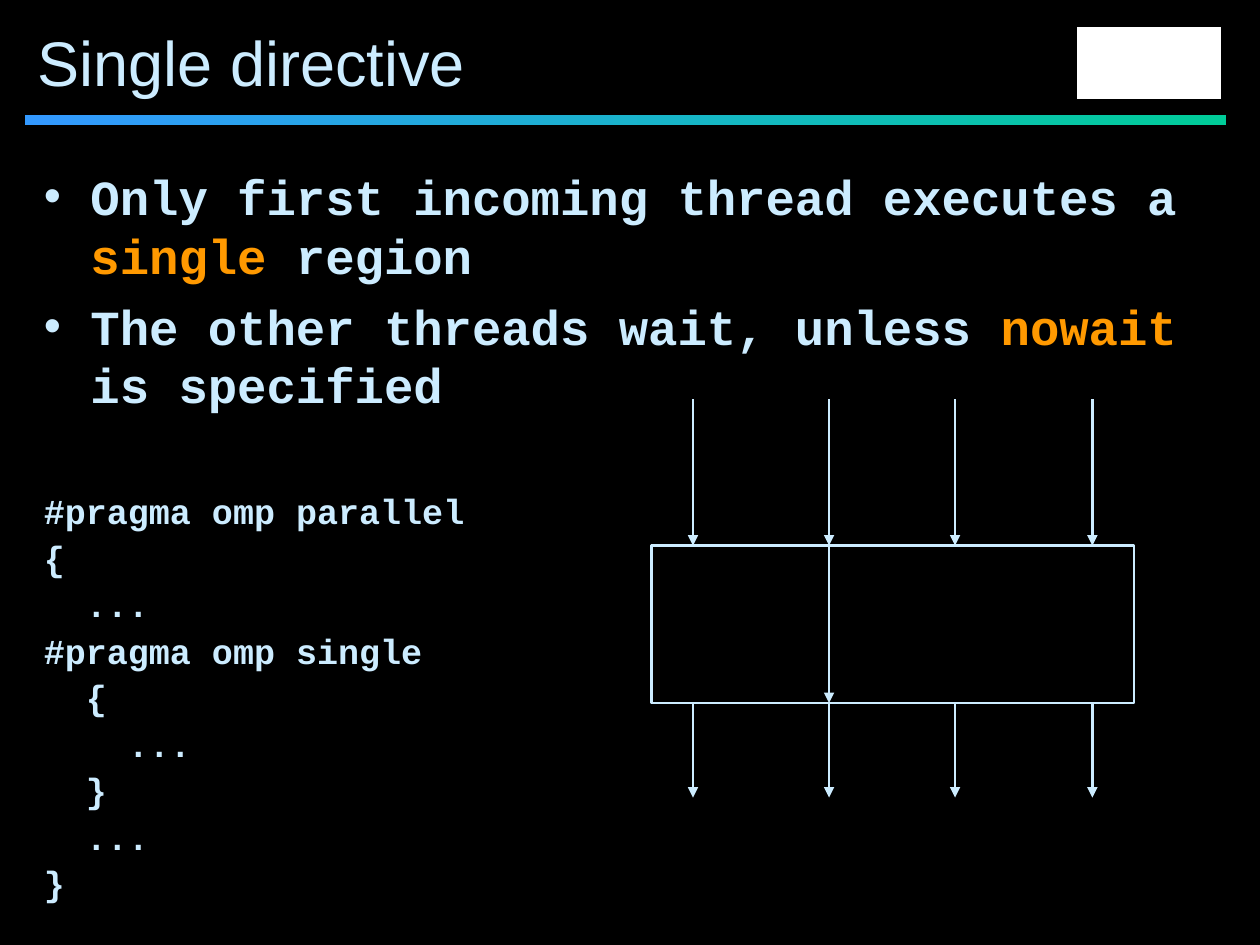
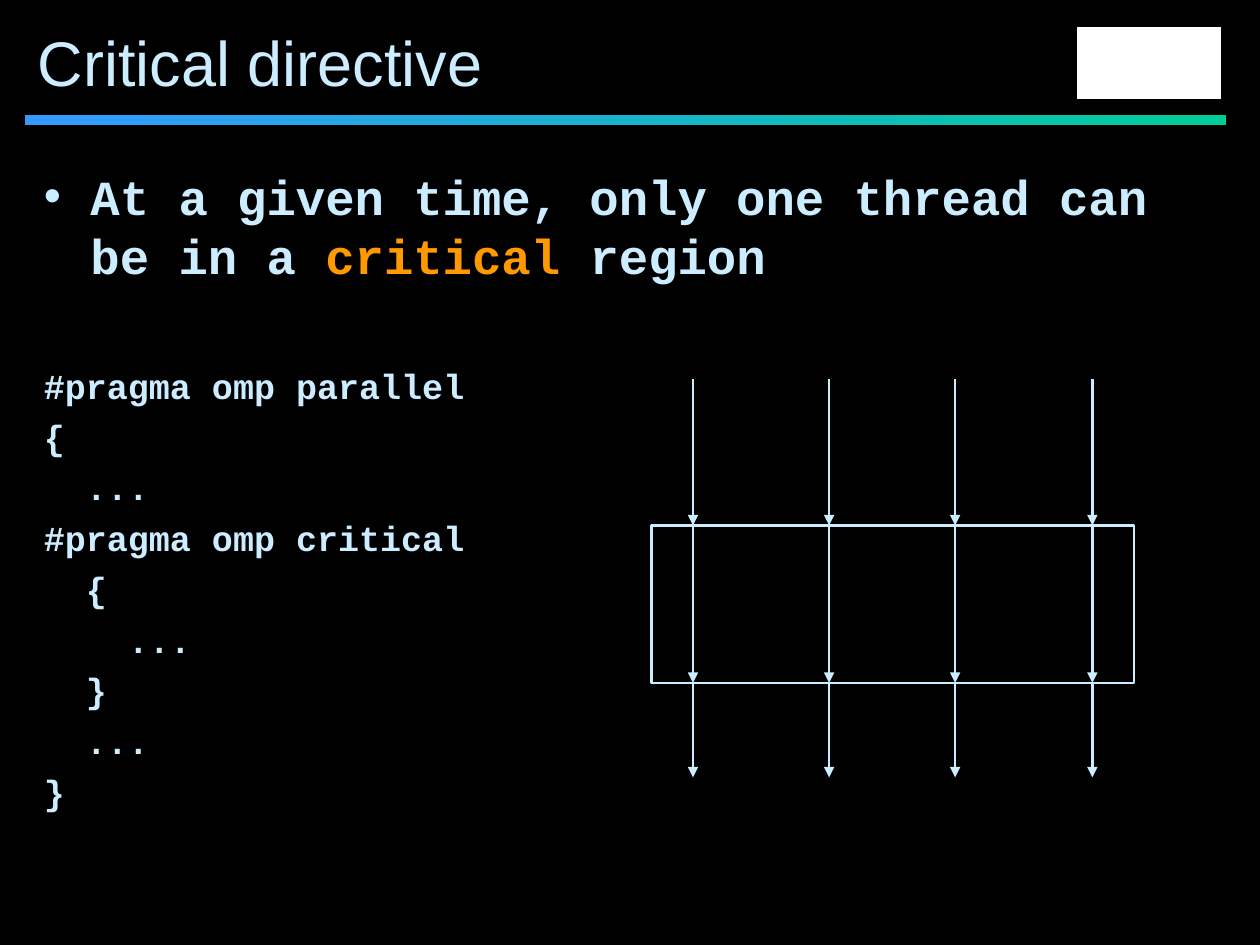
import pptx
import pptx.dml.color
import pptx.enum.dml
import pptx.enum.shapes
import pptx.enum.text
import pptx.oxml
import pptx.oxml.ns
import pptx.util
from pptx.util import Inches

BLACK, WHITE = "000000", "FFFFFF"
PALE, ORANGE = "CCECFF", "FF9900"
BLUE, GREEN = "3399FF", "00CC99"
THREADS = (5.5, 6.58, 7.58, 8.67)
APPROACH, REGION, EXIT = 1.16, 1.25, 0.75


def color(value):
    """Turn a hex string into a colour."""
    return pptx.dml.color.RGBColor.from_string(value)


def append_element(parent, tag, **attributes):
    """Append a DrawingML element and return it."""
    child = pptx.oxml.parse_xml(f"<a:{tag} {pptx.oxml.ns.nsdecls('a')}/>")
    for name, value in attributes.items():
        child.set(name, value)
    parent.append(child)
    return child


def write_text(para, *pieces, font="Courier New", size=28, bold=True, before=0, spacing=1.0):
    """Write pieces into a paragraph, with every second piece in the accent colour."""
    para.alignment = pptx.enum.text.PP_ALIGN.LEFT
    para.space_before = pptx.util.Pt(before)
    para.line_spacing = spacing
    for index, piece in enumerate(pieces):
        span = para.add_run()
        span.text = piece
        span.font.name = font
        span.font.size = pptx.util.Pt(size)
        span.font.bold = bold
        span.font.color.rgb = color(ORANGE if index % 2 else PALE)


def add_bullet(para):
    """Give a paragraph a hanging round bullet."""
    properties = para._p.get_or_add_pPr()
    properties.set("marL", str(Inches(0.37)))
    properties.set("indent", str(-Inches(0.37)))
    append_element(append_element(properties, "buClr"), "srgbClr", val=PALE)
    append_element(properties, "buFont", typeface="Arial")
    append_element(properties, "buChar", char="•")


def add_rectangle(page, left, top, width, height, fill=None, line=None, weight=1.5):
    """Add a flat rectangle with an optional fill and outline."""
    box = page.shapes.add_shape(pptx.enum.shapes.MSO_SHAPE.RECTANGLE, Inches(left),
                                Inches(top), Inches(width), Inches(height))
    box.shadow.inherit = False
    if fill:
        box.fill.solid()
        box.fill.fore_color.rgb = color(fill)
    else:
        box.fill.background()
    if line:
        box.line.color.rgb = color(line)
        box.line.width = pptx.util.Pt(weight)
    else:
        box.line.fill.background()
    return box


def add_arrow(page, x, top, length):
    """Add a downward thread arrow."""
    arrow = page.shapes.add_connector(pptx.enum.shapes.MSO_CONNECTOR.STRAIGHT, Inches(x),
                                      Inches(top), Inches(x), Inches(top + length))
    arrow.line.color.rgb = color(PALE)
    arrow.line.width = pptx.util.Pt(1.5)
    append_element(arrow.line._get_or_add_ln(), "tailEnd", type="triangle")
    append_element(arrow._element.spPr, "effectLst")


def add_page(deck, title):
    """Add a page with its title, gradient band and corner plate."""
    page = deck.slides.add_slide(deck.slide_layouts[5])
    band = add_rectangle(page, 0.2, 0.91, 9.53, 0.08)
    band.fill.gradient()
    band.fill.gradient_angle = 0
    for stop, position, value in zip(band.fill.gradient_stops, (0, 1), (BLUE, GREEN)):
        stop.position = position
        stop.color.rgb = color(value)
    add_rectangle(page, 8.54, 0.21, 1.16, 0.58, fill=WHITE, line=BLACK, weight=0.75)
    heading = page.shapes.title
    heading.left, heading.top = Inches(0.2), Inches(0.13)
    heading.width, heading.height = Inches(8.3), Inches(0.71)
    frame = heading.text_frame
    frame.auto_size = pptx.enum.text.MSO_AUTO_SIZE.NONE
    frame.vertical_anchor = pptx.enum.text.MSO_ANCHOR.MIDDLE
    write_text(frame.paragraphs[0], title, font="Arial", size=36, bold=False)
    return page


def add_body(page, bullets, directive, spacing):
    """Add the bullets and the code of a directive inside a parallel region."""
    box = page.shapes.add_textbox(Inches(0.25), Inches(1.27), Inches(9.5), Inches(6.15))
    frame = box.text_frame
    frame.word_wrap = True
    for index, pieces in enumerate(bullets):
        para = frame.add_paragraph() if index else frame.paragraphs[0]
        add_bullet(para)
        write_text(para, *pieces, before=7 if index else 0)
    code = ("#pragma omp parallel", "{", "  ...", f"#pragma omp {directive}",
            "  {", "    ...", "  }", "  ...", "}")
    for index, line in enumerate(code):
        write_text(frame.add_paragraph(), line, size=20, before=5 if index else 46,
                   spacing=spacing)


def add_thread_diagram(page, top, inside):
    """Draw the threads before, inside and after a region starting at top."""
    add_rectangle(page, 5.17, top, 3.83, REGION, line=PALE)
    for x in THREADS:
        add_arrow(page, x, top - APPROACH, APPROACH)
        if x in inside:
            add_arrow(page, x, top, REGION)
        add_arrow(page, x, top + REGION, EXIT)


def main():
    """Build the deck on the two directives."""
    deck = pptx.Presentation()
    deck.slide_width, deck.slide_height = Inches(10), Inches(7.5)
    background = deck.slide_master.background.fill
    background.solid()
    background.fore_color.rgb = color(BLACK)

    page = add_page(deck, "Single directive")
    add_body(page, [("Only first incoming thread executes a ", "single", " region"),
                    ("The other threads wait, unless ", "nowait", " is specified")],
             "single", spacing=0.9)
    add_thread_diagram(page, 4.33, inside=THREADS[1:2])

    page = add_page(deck, "Critical directive")
    add_body(page, [("At a given time, only one thread can be in a ", "critical", " region")],
             "critical", spacing=1.0)
    add_thread_diagram(page, 4.17, inside=THREADS)

    deck.save("out.pptx")


if __name__ == "__main__":
    main()
